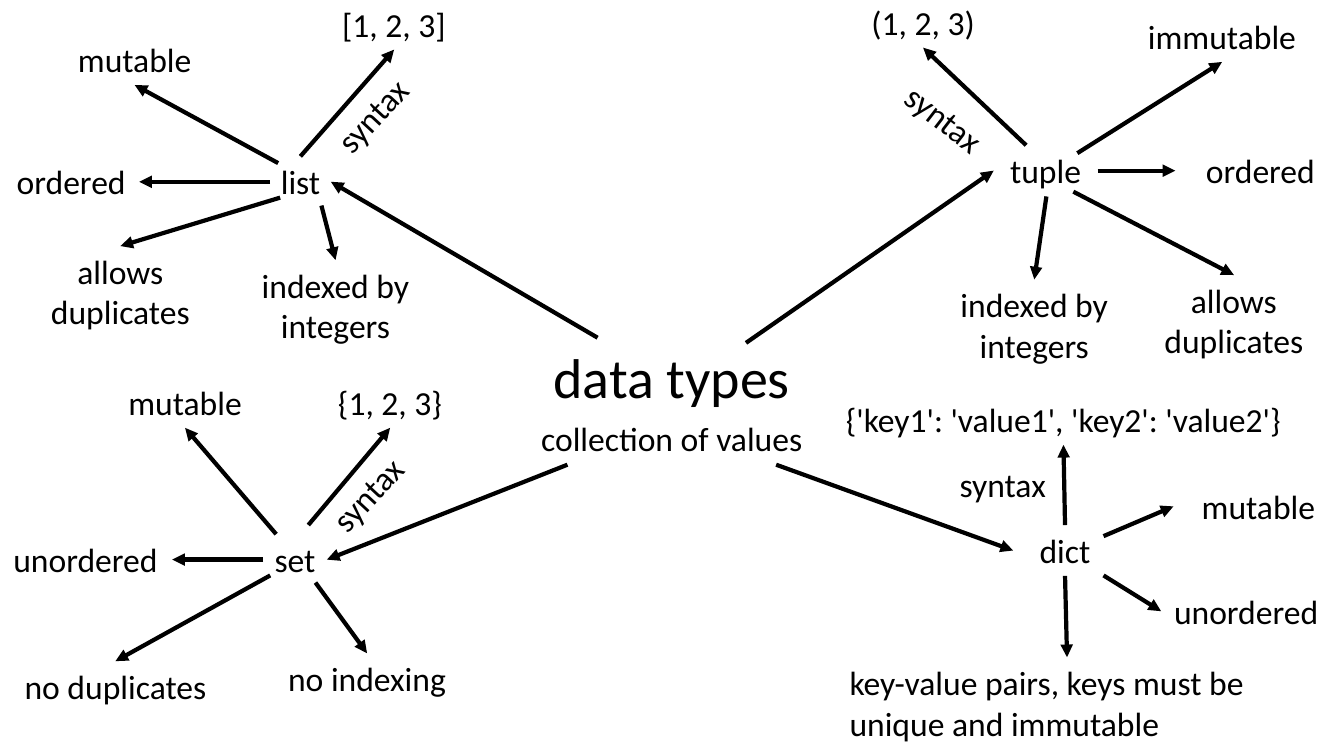
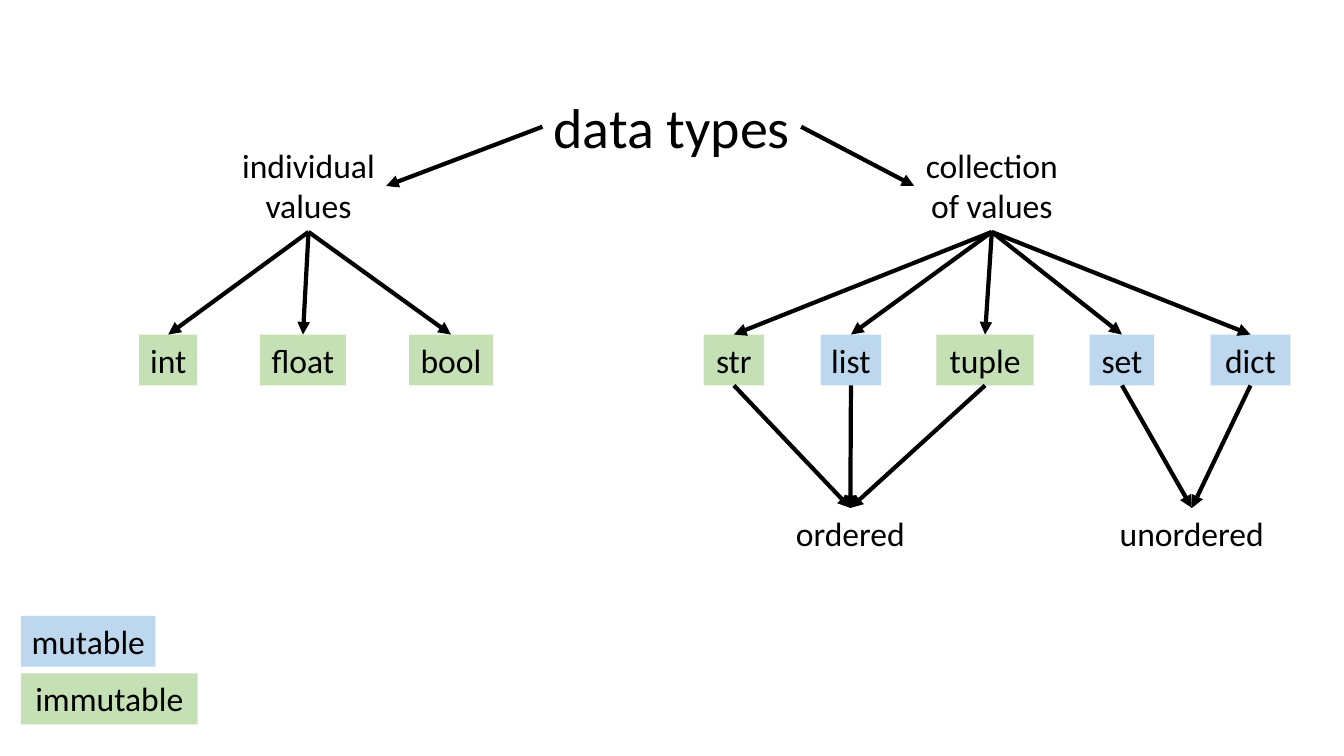
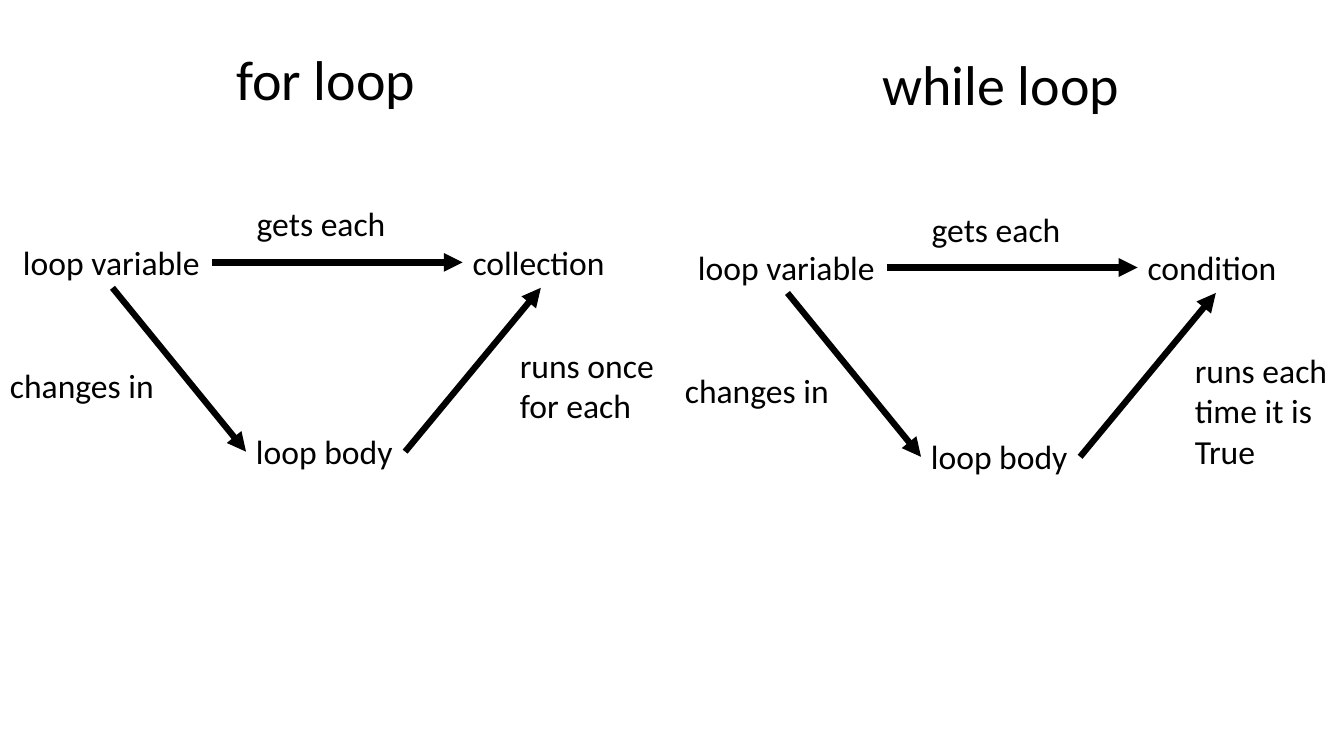
import dataclasses
import typing

import lxml.etree
import pptx
import pptx.dml.color
import pptx.enum.shapes
import pptx.enum.text
import pptx.oxml.ns
import pptx.util

Cm = pptx.util.Cm
Align = pptx.enum.text.PP_ALIGN
TOP, LEFT, BOTTOM, RIGHT = range(4)


@dataclasses.dataclass(frozen=True)
class Theme:
    font: str = "Calibri"
    ink: str = "000000"
    paper: str = "FFFFFF"
    mutable: str = "BDD7EE"
    immutable: str = "C5E0B4"
    title_size: int = 40
    body_size: int = 24
    arrow_width: float = 3
    bold_arrow_width: float = 4.5
    text_inset: float = 0.25
    line_height: float = 0.043  # cm per point of type


THEME = Theme()


class Anchor(typing.NamedTuple):
    """The middle of one side of a shape."""
    shape: typing.Any
    side: int


def rgb(value):
    return pptx.dml.color.RGBColor.from_string(value)


def add_label(slide, text, left, top, width, lines=1, size=THEME.body_size,
              align=Align.CENTER, fill=None, rotation=0):
    """Add a text box whose height follows from its number of lines."""
    height = THEME.text_inset + THEME.line_height * size * lines
    label = slide.shapes.add_textbox(Cm(left), Cm(top), Cm(width), Cm(height))
    label.rotation = rotation
    if fill:
        label.fill.solid()
        label.fill.fore_color.rgb = rgb(fill)
    frame = label.text_frame
    frame.word_wrap = True
    frame.auto_size = pptx.enum.text.MSO_AUTO_SIZE.SHAPE_TO_FIT_TEXT
    paragraph = frame.paragraphs[0]
    paragraph.alignment = align
    run = paragraph.add_run()
    run.text = text
    run.font.name = THEME.font
    run.font.size = pptx.util.Pt(size)
    run.font.color.rgb = rgb(THEME.ink)
    return label


def add_title(slide, text, left, top, width):
    return add_label(slide, text, left, top, width, size=THEME.title_size, fill=THEME.paper)


def add_arrow(slide, start, end, width=THEME.arrow_width):
    """Draw an arrow from an Anchor or an (x, y) point to an Anchor."""
    joined = isinstance(start, Anchor)
    x, y = (0, 0) if joined else start
    arrow = slide.shapes.add_connector(
        pptx.enum.shapes.MSO_CONNECTOR.STRAIGHT, Cm(x), Cm(y), Cm(x), Cm(y))
    if joined:
        arrow.begin_connect(*start)
    arrow.end_connect(*end)
    arrow.line.width = pptx.util.Pt(width)
    arrow.line.color.rgb = rgb(THEME.ink)
    qualified = pptx.oxml.ns.qn
    properties = arrow.element.spPr
    line = properties.find(qualified("a:ln"))
    lxml.etree.SubElement(line, qualified("a:tailEnd"), type="triangle")
    lxml.etree.SubElement(properties, qualified("a:effectLst"))


def add_branch(slide, hub, start, side, *label, **options):
    """Add a label and an arrow to its side; start is a hub side or a point."""
    leaf = add_label(slide, *label, **options)
    origin = Anchor(hub, start) if isinstance(start, int) else start
    add_arrow(slide, origin, Anchor(leaf, side))


def build_collections(slide):
    add_title(slide, "data types", 13.67, 8.51, 6.52)
    add_label(slide, "collection of values", 12.83, 10.41, 8.2, fill=THEME.paper)
    # hub label, side and start of its arrow, place and rotation of "syntax", branches
    clusters = [
        (("list", 6.81, 3.94, 1.53), RIGHT, (15.06, 8.51), (7.77, 2.26), 312.8, [
            ((7.57, 3.94), BOTTOM, "[1, 2, 3]", 8.33, -0.03, 3.2),
            ((7.01, 4.11), BOTTOM, "mutable", 1.68, 0.86, 3.43),
            (LEFT, RIGHT, "ordered", 0.08, 3.94, 3.43),
            ((7.06, 4.98), TOP, "allows duplicates", 0.99, 6.2, 4.09, 2),
            ((8.1, 5.18), TOP, "indexed by integers", 6.27, 6.55, 4.37, 2),
        ]),
        (("tuple", 25.04, 3.66, 2.62), LEFT, (18.8, 8.64), (22.2, 2.34), 37.7, [
            ((25.86, 3.66), BOTTOM, "(1, 2, 3)", 20.52, -0.08, 5.49),
            ((27.15, 3.86), BOTTOM, "immutable", 28.65, 0.28, 4.29),
            (RIGHT, LEFT, "ordered", 29.62, 3.66, 4.29),
            ((27.05, 4.83), TOP, "allows duplicates", 28.35, 6.93, 5.49, 2),
            ((26.37, 4.95), TOP, "indexed by integers", 23.88, 7.04, 4.37, 2),
        ]),
        (("set", 6.63, 13.46, 1.61), RIGHT, (14.3, 11.71), (7.65, 11.81), 312.8, [
            ((7.77, 13.23), BOTTOM, "{1, 2, 3}", 8.23, 9.5, 3.2),
            ((6.96, 13.46), BOTTOM, "mutable", 2.95, 9.5, 3.43),
            (LEFT, RIGHT, "unordered", -0.03, 13.46, 4.37),
            ((6.81, 14.5), TOP, "no duplicates", 0.23, 16.66, 5.36),
            ((7.95, 14.68), TOP, "no indexing", 6.99, 16.46, 4.52),
        ]),
        (("dict", 25.53, 13.23, 2.62), LEFT, (19.56, 11.71), (23.67, 11.56), 0, [
            (TOP, BOTTOM, "{'key1': 'value1', 'key2': 'value2'}", 20.98, 9.93, 11.64),
            ((27.81, 13.51), LEFT, "mutable", 29.57, 12.12, 4.29),
            ((27.81, 14.5), LEFT, "unordered", 29.26, 14.76, 4.29),
            (BOTTOM, TOP, "key-value pairs, keys must be unique and immutable",
             21.16, 16.56, 11.46, 2, THEME.body_size, Align.LEFT),
        ]),
    ]
    for hub_label, side, start, syntax_place, rotation, branches in clusters:
        hub = add_label(slide, *hub_label)
        add_arrow(slide, start, Anchor(hub, side))
        add_label(slide, "syntax", *syntax_place, 3.2, rotation=rotation)
        for branch in branches:
            add_branch(slide, hub, *branch)


def build_type_tree(slide):
    type_top, order_top = 8.43, 12.8
    mutable, immutable = THEME.mutable, THEME.immutable
    title = add_title(slide, "data types", 13.67, 2.21, 6.52)
    orders = {
        text: add_label(slide, text, left, order_top, width, fill=THEME.paper)
        for text, left, width in [("ordered", 19.74, 3.38), ("unordered", 27.81, 4.45)]
    }
    groups = [
        ("individual values", 5.82, LEFT, RIGHT, [
            ("int", 3.51, 1.46, immutable, None),
            ("float", 6.55, 2.17, immutable, None),
            ("bool", 10.31, 2.11, immutable, None),
        ]),
        ("collection of values", 23.04, RIGHT, LEFT, [
            ("str", 17.73, 1.53, immutable, "ordered"),
            ("list", 20.68, 1.53, mutable, "ordered"),
            ("tuple", 23.6, 2.45, immutable, "ordered"),
            ("set", 27.46, 1.63, mutable, "unordered"),
            ("dict", 30.51, 2.01, mutable, "unordered"),
        ]),
    ]
    for text, left, title_side, group_side, types in groups:
        group = add_label(slide, text, left, 3.53, 3.91, lines=2, fill=THEME.paper)
        add_arrow(slide, Anchor(title, title_side), Anchor(group, group_side))
        for name, type_left, width, fill, order in types:
            box = add_label(slide, name, type_left, type_top, width, fill=fill)
            add_arrow(slide, Anchor(group, BOTTOM), Anchor(box, TOP))
            if order:
                add_arrow(slide, Anchor(box, BOTTOM), Anchor(orders[order], TOP))
    add_label(slide, "mutable", 0.53, 15.52, 3.39, fill=mutable)
    add_label(slide, "immutable", 0.53, 16.97, 4.45, fill=immutable)


def add_loop(slide, left, top, source, outcome, outcome_lines):
    """Draw the triangle of variable, source and body, shifted by left and top."""
    def add_part(text, x, y, width, lines=1):
        return add_label(slide, text, left + x, top + y, width, lines,
                         align=Align.LEFT, fill=THEME.paper)

    add_part("gets each", 6.22, 5, 3.94)
    add_part("changes in", 0, 9.07, 4.22)
    add_part(outcome, 12.85, 8.56, 4.01, outcome_lines)
    variable = add_part("loop variable", 0.33, 5.97, 5.01)
    source_label = add_part(source, 11.66, 5.97, 3.94)
    body = add_part("loop body", 6.2, 10.74, 4.01)
    for start, start_side, end, end_side in [
        (variable, RIGHT, source_label, LEFT),
        (variable, BOTTOM, body, LEFT),
        (body, RIGHT, source_label, BOTTOM),
    ]:
        add_arrow(slide, Anchor(start, start_side), Anchor(end, end_side),
                  THEME.bold_arrow_width)


def build_loops(slide):
    add_title(slide, "for loop", 5.64, 0.99, 5.14)
    add_loop(slide, 0, 0, "collection", "runs once for each", 2)
    add_title(slide, "while loop", 21.95, 1.12, 6.54)
    add_loop(slide, 17.01, 0.13, "condition", "runs each time it is True", 3)


def main():
    presentation = pptx.Presentation()
    presentation.slide_width = Cm(33.87)
    presentation.slide_height = Cm(19.05)
    blank = presentation.slide_layouts[6]
    for build in (build_collections, build_type_tree, build_loops):
        build(presentation.slides.add_slide(blank))
    presentation.save("out.pptx")


if __name__ == "__main__":
    main()
